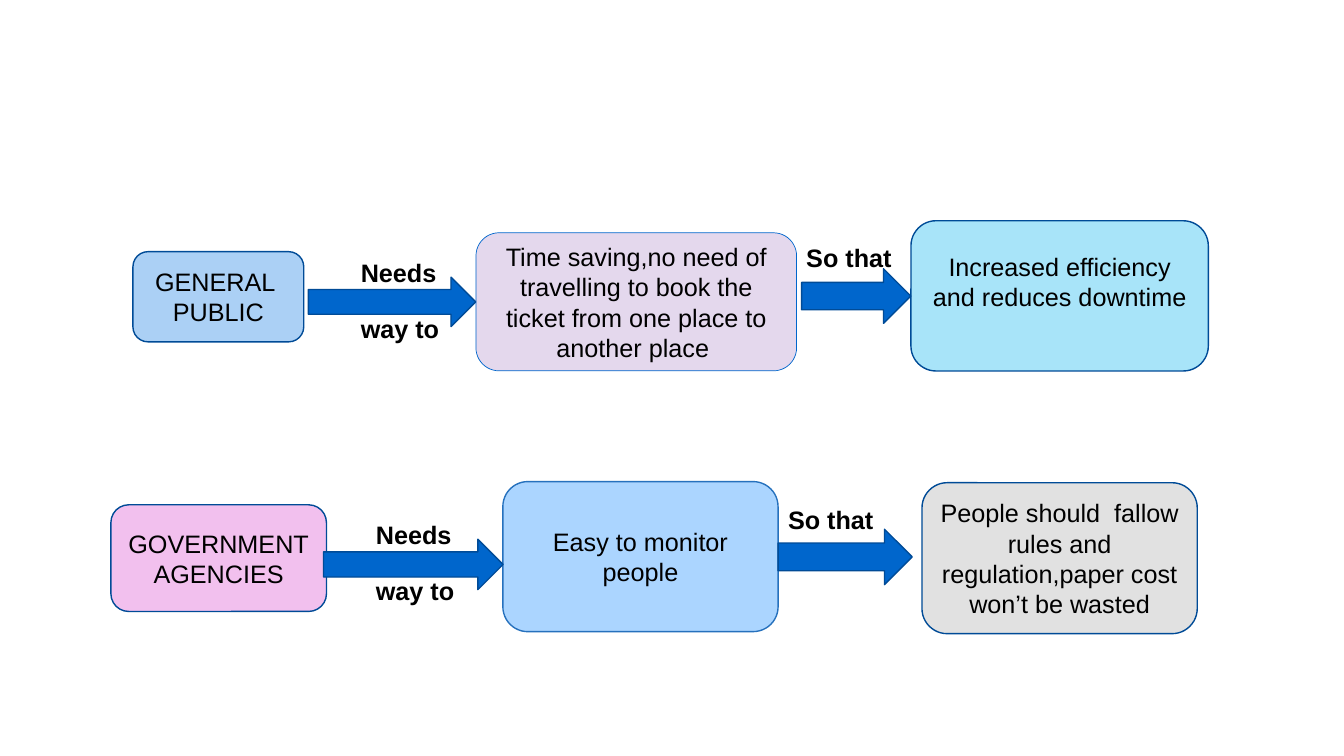
from lxml.etree import SubElement
from pptx import Presentation
from pptx.dml.color import RGBColor
from pptx.enum.shapes import MSO_SHAPE as Preset
from pptx.enum.text import MSO_ANCHOR as Anchor, PP_ALIGN as Align
from pptx.oxml.ns import qn
from pptx.util import Pt

COLOURS = {
    "text": "000000",
    "arrow": "0066CC",
    "outline": "004B97",
    "mid_outline": "2671BD",
    "public": "ABD0F5",
    "time_saving": "7030A0",
    "efficiency": "00B0F0",
    "agencies": "DD53D2",
    "monitoring": "3399FF",
    "rules": "D9D9D9",
}


class FlowSlide:
    font_name = "Arial"
    font_size = 18

    def __init__(self, slide):
        self.slide = slide

    def colour(self, name):
        return RGBColor.from_string(COLOURS[name])

    def set_text(self, frame, text, bold=False, align=Align.LEFT):
        frame.word_wrap = True
        frame.text = text
        for paragraph in frame.paragraphs:
            paragraph.alignment = align
            font = paragraph.font
            font.name = self.font_name
            font.size = Pt(self.font_size)
            font.bold = bold
            font.color.rgb = self.colour("text")

    def shape(self, preset, bounds, fill, outline, width):
        shape = self.slide.shapes.add_shape(preset, *map(Pt, bounds))
        shape.shadow.inherit = False
        shape.fill.solid()
        shape.fill.fore_color.rgb = self.colour(fill)
        shape.line.color.rgb = self.colour(outline)
        shape.line.width = Pt(width)
        return shape

    def box(self, bounds, text, fill, opacity=100, outline="outline", width=1, lift=0):
        shape = self.shape(Preset.ROUNDED_RECTANGLE, bounds, fill, outline, width)
        if opacity < 100:
            colour = shape._element.spPr.find(qn("a:solidFill")).find(qn("a:srgbClr"))
            SubElement(colour, qn("a:alpha")).set("val", str(opacity * 1000))
        frame = shape.text_frame
        frame.vertical_anchor = Anchor.MIDDLE
        frame.margin_bottom = Pt(3.6 + lift)
        self.set_text(frame, text, align=Align.CENTER)

    def arrow(self, bounds):
        self.shape(Preset.RIGHT_ARROW, bounds, "arrow", "outline", 1)

    def label(self, left, top, text, width=76, height=29):
        box = self.slide.shapes.add_textbox(*map(Pt, (left, top, width, height)))
        self.set_text(box.text_frame, text, bold=True)


def main():
    presentation = Presentation()
    presentation.slide_width = Pt(960)
    presentation.slide_height = Pt(540)
    flow = FlowSlide(presentation.slides.add_slide(presentation.slide_layouts[6]))

    flow.box((340, 166.3, 229, 98.6),
             "Time saving,no need of travelling to book the ticket from one place to another place ",
             "time_saving", 19, "arrow", 0.5)
    flow.box((650.7, 157.7, 212.4, 107.3), "Increased efficiency and reduces downtime",
             "efficiency", 34, lift=21)
    flow.box((79.2, 360.6, 154, 76.2), "GOVERNMENT\nAGENCIES", "agencies", 36)
    flow.box((359.2, 344, 196.6, 107.2), "Easy to monitor people",
             "monitoring", 41, "mid_outline")
    flow.box((658.6, 344.8, 196.6, 107.8),
             "People should  fallow rules and regulation,paper cost won’t be wasted",
             "rules", 77)
    flow.box((95, 179.8, 122, 64.4), "GENERAL \nPUBLIC", "public")

    for bounds in ((220.3, 198, 119.5, 35.3), (572.6, 192, 78, 39),
                   (231.1, 385.2, 128.2, 36), (555.8, 378, 95.8, 39.6)):
        flow.arrow(bounds)

    for needs_left, needs_top, so_left, so_top in ((250.6, 180, 568.8, 169.2),
                                                   (261.4, 367.4, 555.8, 356.4)):
        flow.label(needs_left, needs_top, "Needs")
        flow.label(needs_left, needs_top + 40, "way to")
        flow.label(so_left, so_top, "So that", 112)

    presentation.save("out.pptx")


if __name__ == "__main__":
    main()
